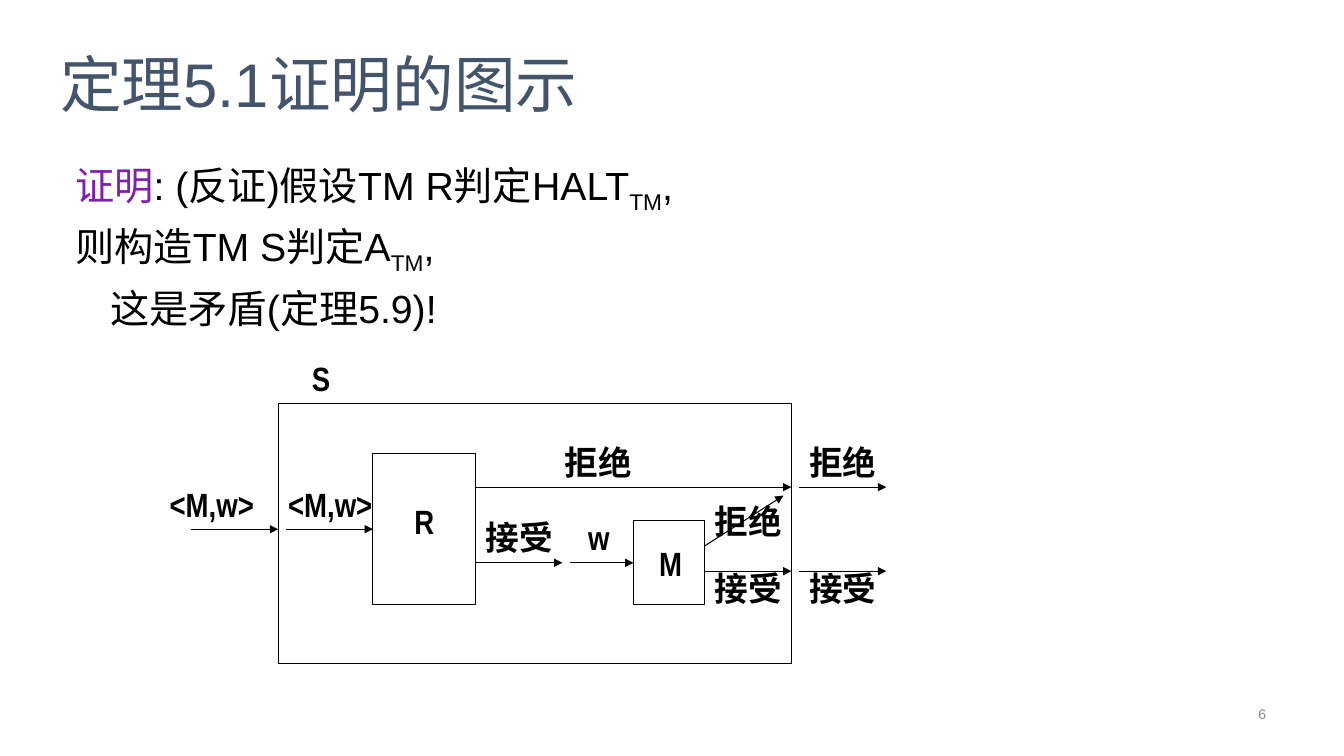
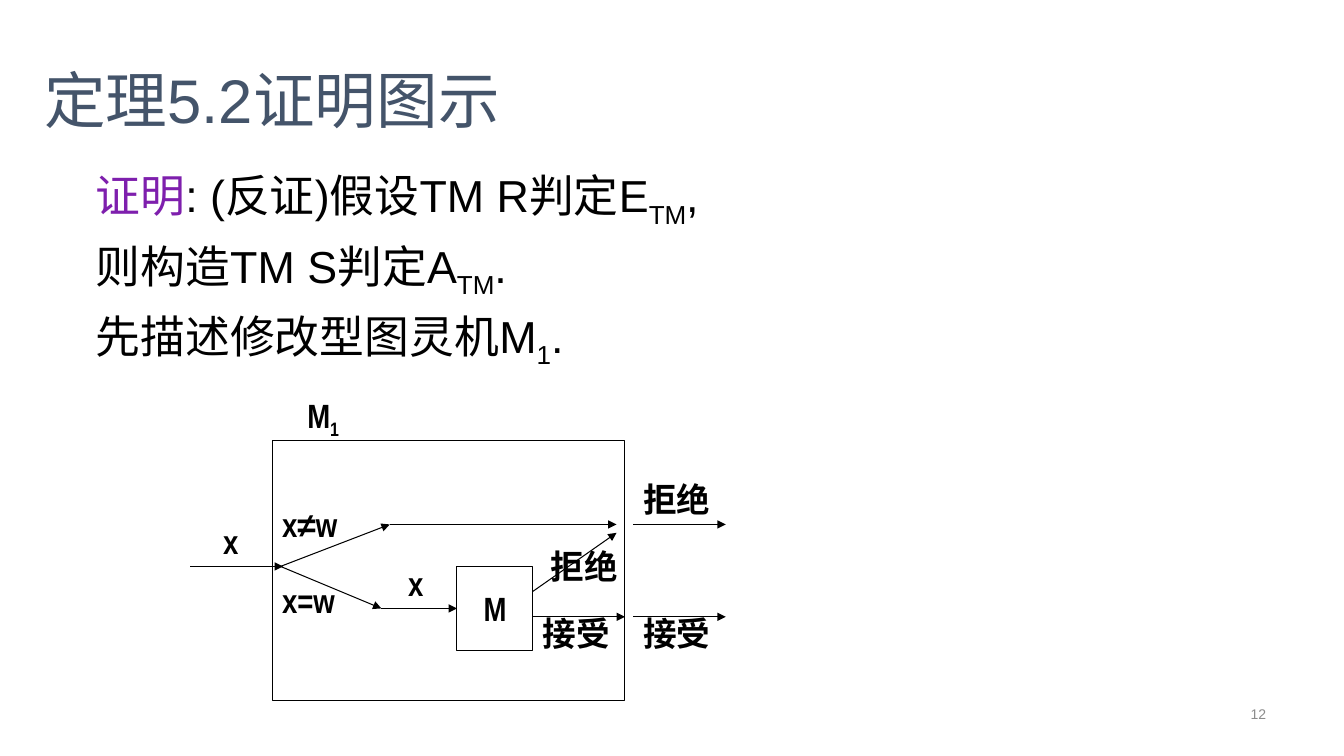
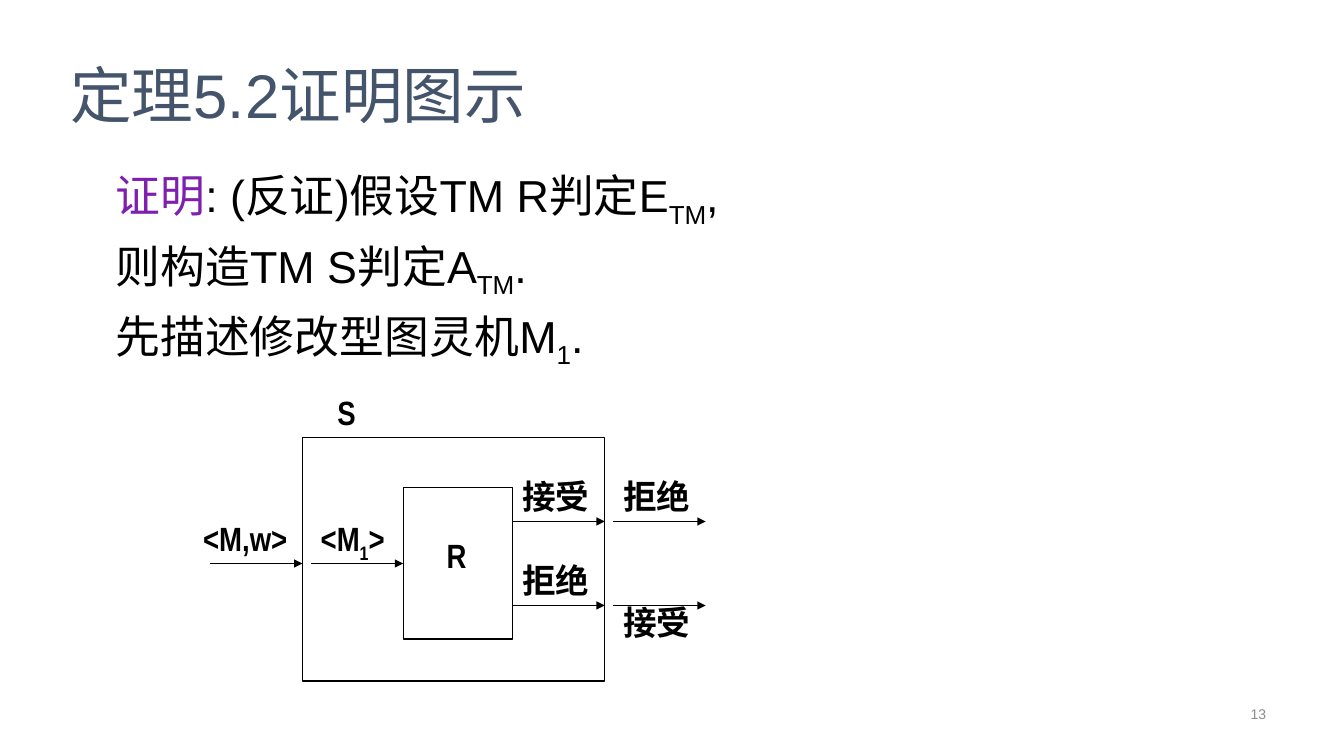
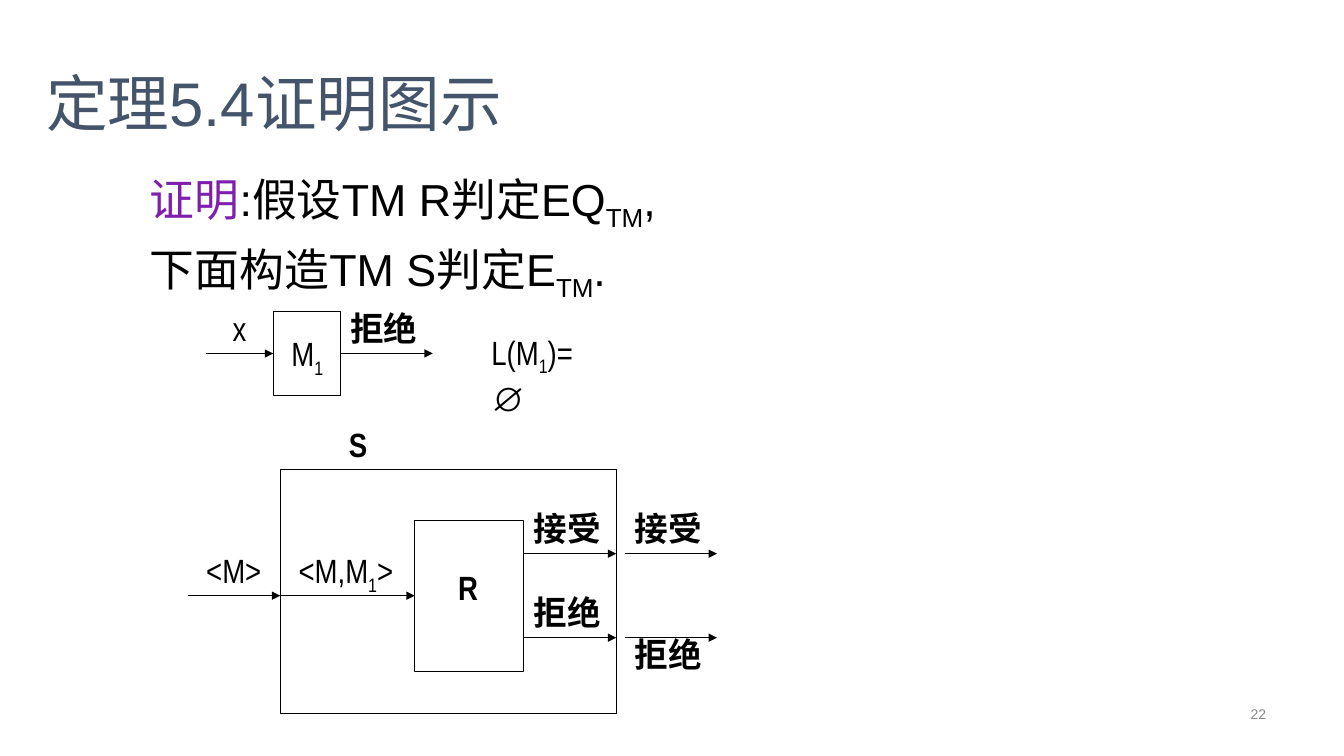
from lxml.etree import SubElement
from pptx import Presentation
from pptx.dml.color import RGBColor
from pptx.enum.shapes import MSO_CONNECTOR, MSO_SHAPE
from pptx.enum.text import MSO_ANCHOR, PP_ALIGN
from pptx.oxml.ns import qn
from pptx.util import Pt

BLACK = RGBColor(0x00, 0x00, 0x00)
SLATE = RGBColor(0x44, 0x54, 0x6A)
PURPLE = RGBColor(0x7E, 0x1F, 0xAD)
GRAY = RGBColor(0x8C, 0x8C, 0x8C)
TEXT_FONT = "Arial"
LABEL_FONT = "Arial Narrow"
LEAD = "证明"
GRID = 6
LABEL_HEIGHT = 36

# In texts, underscores enclose a subscript.
# Diagrams are laid out in grid units, measured from their origin in points:
# boxes (left, top, width, height), arrows (x1, y1, x2, y2),
# labels (text, left, top, width); plain labels are not bold.
EMPTINESS_PROOF = ["证明: (反证)假设TM R判定E_TM_,", "则构造TM S判定A_TM_.", "先描述修改型图灵机M_1_."]

HALT_DIAGRAM = {
    "origin": (198.7, 288), "step": 5.64,
    "boxes": [(0, 0, 65, 31), (12, 6, 13, 18), (45, 14, 9, 10)],
    "arrows": [(-11, 15, 0, 15), (1, 15, 12, 15), (25, 10, 65, 10), (66, 10, 77, 10),
               (25, 19, 36, 19), (37, 19, 45, 19), (54, 17, 64, 11),
               (54, 20, 65, 20), (66, 20, 77, 20)],
    "labels": [("<M,w>", -15, 9, 14.5), ("S", 3, -6, 6), ("<M,w>", 0, 9, 13.7),
               ("R", 16, 11, 6), ("拒绝", 35, 4, 12), ("拒绝", 66, 4, 13),
               ("接受", 25, 13, 12), ("w", 38, 13, 6), ("M", 47, 16, 6),
               ("拒绝", 54, 11, 12), ("接受", 54, 19, 12), ("接受", 66, 19, 12)],
}
MODIFIED_MACHINE_DIAGRAM = {
    "origin": (194.4, 314.6),
    "boxes": [(0, 0, 42, 31), (22, 15, 9, 10)],
    "arrows": [(-9.75, 15, 1.3, 15), (1, 15, 14, 10), (14, 10, 41, 10), (43, 10, 54, 10),
               (1, 15, 13, 20), (13, 20, 22, 20), (31, 18, 41, 11),
               (31, 21, 42, 21), (43, 21, 54, 21)],
    "labels": [("x", -7, 9, 6), ("M_1_", 3, -6, 8), ("x≠w", 0, 7, 10), ("x=w", 0, 16, 10),
               ("x", 15, 14, 6), ("M", 24, 17, 6), ("拒绝", 32, 12, 12),
               ("接受", 31, 20, 12), ("拒绝", 43, 4, 13), ("接受", 43, 20, 12)],
}
EMPTINESS_DIAGRAM = {
    "origin": (216, 312.5),
    "boxes": [(0, 0, 36, 29), (12, 6, 13, 18)],
    "arrows": [(-11, 15, 0, 15), (1, 15, 12, 15), (25, 10, 36, 10), (37, 10, 48, 10),
               (25, 20, 36, 20), (37, 20, 48, 20)],
    "labels": [("<M,w>", -13, 9, 13), ("S", 3, -6, 6), ("<M_1_>", 1, 9, 13),
               ("R", 16, 11, 6), ("接受", 25, 4, 12), ("拒绝", 25, 14, 12),
               ("拒绝", 37, 4, 13), ("接受", 37, 19, 12)],
}
EQUALITY_DIAGRAM = {
    "origin": (200.2, 335.5),
    "boxes": [(0, 0, 40, 29), (16, 6, 13, 18)],
    "arrows": [(-11, 15, 0, 15), (0, 15, 16, 15), (29, 10, 40, 10), (41, 10, 52, 10),
               (29, 20, 40, 20), (41, 20, 52, 20)],
    "labels": [("S", 7, -6, 6), ("R", 20, 11, 6), ("接受", 29, 4, 12),
               ("拒绝", 29, 14, 12), ("接受", 41, 4, 12), ("拒绝", 41, 19, 13)],
    "plain_labels": [("<M>", -10, 9, 9), ("<M,M_1_>", 1, 9, 15)],
}
REJECTING_MACHINE_DIAGRAM = {
    "origin": (195.1, 222.5),
    "boxes": [(0, 0, 8, 10)],
    "arrows": [(-8, 5, 0, 5), (8, 5, 19, 5)],
    "labels": [("拒绝", 8, -1, 13)],
    "plain_labels": [("x", -6, -1, 5), ("M_1_", 1, 2, 7), ("L(M_1_)=∅", 24.8, 1.8, 16)],
}

SLIDES = [
    {"title": "定理5.1证明的图示", "title_at": (36, 0), "number": 6,
     "proof": ["证明: (反证)假设TM R判定HALT_TM_,", "则构造TM S判定A_TM_,", "这是矛盾(定理5.9)!"],
     "proof_at": (46.8, 111.6, 594, 158.4), "size": 28, "indents": {2: 25},
     "diagrams": [HALT_DIAGRAM]},
    {"title": "定理5.2证明图示", "title_at": (24.5, 11.5), "number": 12,
     "proof": EMPTINESS_PROOF, "proof_at": (61.2, 116.6, 602, 152), "size": 32,
     "diagrams": [MODIFIED_MACHINE_DIAGRAM]},
    {"title": "定理5.2证明图示", "title_at": (43.2, 8), "number": 13,
     "proof": EMPTINESS_PROOF, "proof_at": (75.5, 116.6, 607.7, 152), "size": 32,
     "diagrams": [EMPTINESS_DIAGRAM]},
    {"title": "定理5.4证明图示", "title_at": (26, 13.7), "number": 22,
     "proof": ["证明:假设TM R判定EQ_TM_,", "下面构造TM S判定E_TM_."],
     "proof_at": (100, 118.8, 607.7, 165), "size": 32,
     "diagrams": [EQUALITY_DIAGRAM, REJECTING_MACHINE_DIAGRAM]},
]


def add_box(page, left, top, width, height, anchor=MSO_ANCHOR.TOP):
    box = page.shapes.add_textbox(Pt(left), Pt(top), Pt(width), Pt(height))
    box.text_frame.word_wrap = True
    box.text_frame.vertical_anchor = anchor
    return box.text_frame


def add_span(para, text, size, color=BLACK, font=TEXT_FONT, bold=False):
    span = para.add_run()
    span.text = text
    span.font.size = Pt(size)
    span.font.name = font
    span.font.bold = bold
    span.font.color.rgb = color
    return span


def add_marked_text(para, text, size, **style):
    """Add text whose parts between underscores become subscripts."""
    for index, part in enumerate(text.split("_")):
        if part:
            span = add_span(para, part, size, **style)
            if index % 2:
                span.font._element.set("baseline", "-25000")


def add_title(page, text, position):
    frame = add_box(page, *position, 816, 90, MSO_ANCHOR.BOTTOM)
    add_span(frame.paragraphs[0], text, 44, SLATE)
    frame.paragraphs[0].line_spacing = 0.9


def add_proof(page, lines, place, size, indents):
    frame = add_box(page, *place)
    for index, line in enumerate(lines):
        para = frame.add_paragraph() if index else frame.paragraphs[0]
        para.space_before = Pt(size * 0.2)
        if index in indents:
            para._p.get_or_add_pPr().set("marL", str(Pt(indents[index])))
        if line.startswith(LEAD):
            add_span(para, LEAD, size, PURPLE)
            line = line.removeprefix(LEAD)
        add_marked_text(para, line, size)


def add_page_number(page, number):
    para = add_box(page, 699, 497.5, 212.5, 25, MSO_ANCHOR.MIDDLE).paragraphs[0]
    para.alignment = PP_ALIGN.RIGHT
    add_span(para, str(number), 10, GRAY)


def add_arrow(page, start, end):
    arrow = page.shapes.add_connector(
        MSO_CONNECTOR.STRAIGHT, *map(Pt, start), *map(Pt, end))
    arrow.line.color.rgb = BLACK
    arrow.line.width = Pt(0.75)
    SubElement(arrow.line._get_or_add_ln(), qn("a:tailEnd"), type="triangle")
    SubElement(arrow._element.spPr, qn("a:effectLst"))


def add_diagram(page, diagram):
    left, top = diagram["origin"]
    step = diagram.get("step", GRID)

    def point(x, y):
        return left + x * step, top + y * GRID

    for x, y, width, height in diagram["boxes"]:
        size = (width * step, height * GRID)
        box = page.shapes.add_shape(
            MSO_SHAPE.RECTANGLE, *map(Pt, point(x, y) + size))
        box.shadow.inherit = False
        box.fill.background()
        box.line.color.rgb = BLACK
        box.line.width = Pt(0.75)
    for x1, y1, x2, y2 in diagram["arrows"]:
        add_arrow(page, point(x1, y1), point(x2, y2))
    for key, bold in (("labels", True), ("plain_labels", False)):
        for text, x, y, width in diagram.get(key, []):
            frame = add_box(page, *point(x, y), width * step, LABEL_HEIGHT)
            add_marked_text(frame.paragraphs[0], text, 24, font=LABEL_FONT, bold=bold)


def main():
    deck = Presentation()
    deck.slide_width, deck.slide_height = Pt(960), Pt(540)
    for content in SLIDES:
        page = deck.slides.add_slide(deck.slide_layouts[6])
        add_title(page, content["title"], content["title_at"])
        add_proof(page, content["proof"], content["proof_at"],
                  content["size"], content.get("indents", {}))
        for diagram in content["diagrams"]:
            add_diagram(page, diagram)
        add_page_number(page, content["number"])
    deck.save("out.pptx")


if __name__ == "__main__":
    main()
